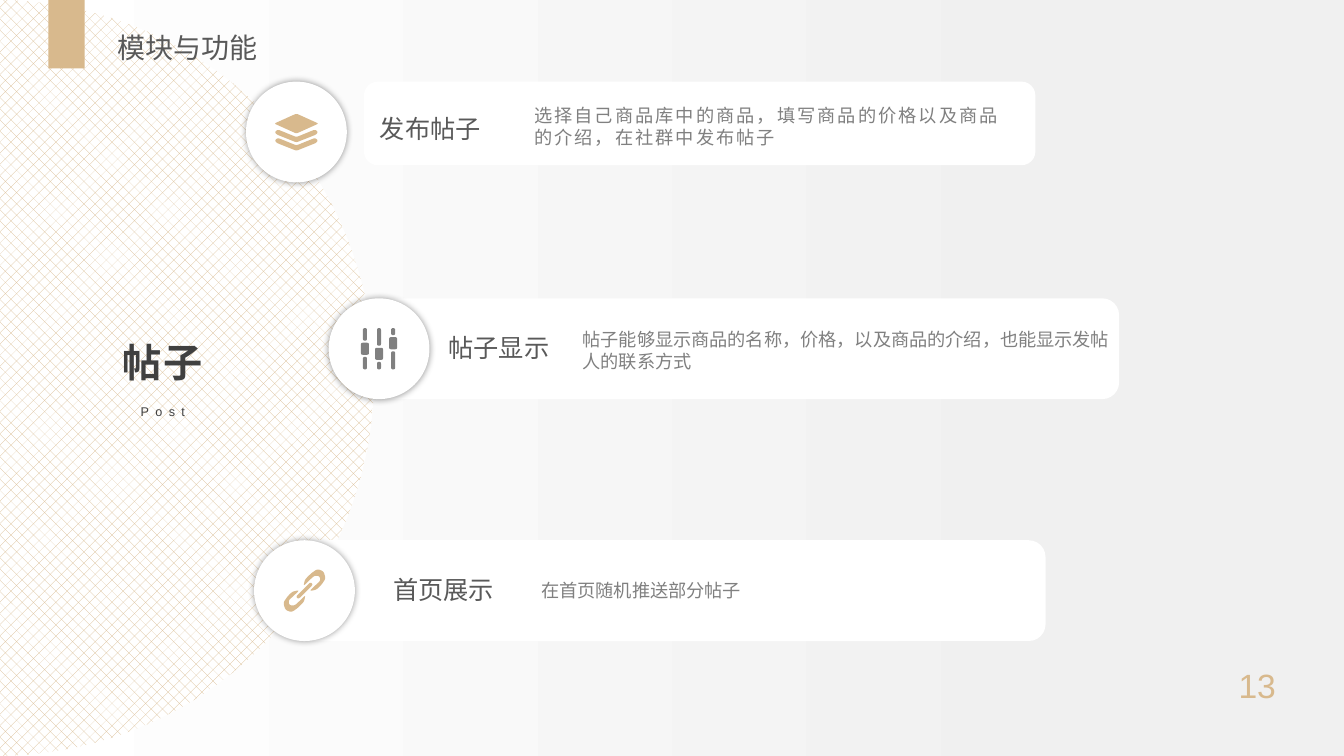
from dataclasses import dataclass
from math import cos, dist, pi, sin

from lxml.etree import SubElement
from pptx import Presentation
from pptx.dml.color import RGBColor
from pptx.enum.dml import MSO_PATTERN
from pptx.enum.shapes import MSO_SHAPE as Preset
from pptx.enum.text import MSO_AUTO_SIZE as AutoSize, PP_ALIGN as Align
from pptx.oxml.ns import qn
from pptx.util import Cm, Pt

Point = tuple[float, float]
Outline = list[Point]
Box = tuple[float, float, float, float]

GOLD, GREY, WHITE = "D8B98D", "808080", "FFFFFF"
DARK, HEADING = "404040", "595959"
DISC = 1.0  # diameter of the icon discs


@dataclass
class Label:
    """A text with its box in inches and its look."""
    text: str
    box: Box
    size: float
    color: str
    spacing: float = 0
    align: Align | None = None
    bold: bool = False
    wrap: bool = True
    line_spacing: float | None = None


@dataclass
class Feature:
    """A white card with an icon disc, a heading and a description."""
    card: Box
    disc_left: float
    icon: list[Outline]
    icon_color: str
    heading: Label
    description: Label


def inch(value: float) -> Cm:
    """Convert inches to a length."""
    return Cm(value * 2.54)


def rgb(color: str) -> RGBColor:
    """Turn a hex string into a colour."""
    return RGBColor.from_string(color)


def paint(shape, color: str) -> None:
    """Give a shape a flat fill without line or shadow."""
    shape.fill.solid()
    shape.fill.fore_color.rgb = rgb(color)
    shape.line.fill.background()
    shape.shadow.inherit = False


def add_preset(page, preset: Preset, box: Box, color: str):
    """Draw a flat preset shape."""
    shape = page.shapes.add_shape(preset, *map(inch, box))
    paint(shape, color)
    return shape


def add_outlines(page, outlines: list[Outline]):
    """Draw closed outlines, given in inches, as one freeform."""
    paths = [[(inch(x), inch(y)) for x, y in outline] for outline in outlines]
    builder = page.shapes.build_freeform(*paths[0][0])
    for number, path in enumerate(paths):
        if number:
            builder.move_to(*path[0])
        builder.add_line_segments(path[1:], close=True)
    return builder.convert_to_shape()


def add_glow(shape) -> None:
    """Put a soft dark shadow around a shape."""
    effects = shape._element.spPr.find(qn("a:effectLst"))
    shadow = SubElement(effects, qn("a:outerShdw"), blurRad=str(Pt(5)), dist="0", dir="0")
    color = SubElement(shadow, qn("a:srgbClr"), val="000000")
    SubElement(color, qn("a:alpha"), val="40000")


def add_label(page, label: Label) -> None:
    """Write a text box."""
    frame = page.shapes.add_textbox(*map(inch, label.box)).text_frame
    frame.word_wrap = label.wrap
    frame.auto_size = AutoSize.SHAPE_TO_FIT_TEXT
    frame.text = label.text
    para = frame.paragraphs[0]
    para.alignment = label.align
    para.line_spacing = label.line_spacing
    span = para.runs[0]
    span.font.name = "Arial"
    span.font.size = Pt(label.size)
    span.font.bold = label.bold
    span.font.color.rgb = rgb(label.color)
    if label.spacing:
        span._r.get_or_add_rPr().set("spc", str(round(label.spacing * 100)))


def rounded(points: Outline, radius: float) -> Outline:
    """Round the corners of a polygon with short quadratic curves."""
    result = []
    for i, corner in enumerate(points):
        ends = []
        for other in (points[i - 1], points[(i + 1) % len(points)]):
            share = min(0.5, radius / dist(corner, other))
            ends.append([c + share * (o - c) for c, o in zip(corner, other)])
        for step in range(5):
            t = step / 4
            result.append(tuple((1 - t) ** 2 * a + 2 * t * (1 - t) * c + t * t * b
                                for a, c, b in zip(ends[0], corner, ends[1])))
    return result


def bar(x: float, top: float, bottom: float, width: float) -> Outline:
    """Return a rounded upright bar centred on x."""
    left, right = x - width / 2, x + width / 2
    return rounded([(left, top), (right, top), (right, bottom), (left, bottom)], 2)


def layers_icon() -> list[Outline]:
    """Return a stack of three sheets, in hundredths of an inch."""
    sheet = [(-22, -8.4), (0, -18.3), (22, -8.4), (0, 1.5)]
    edge = [(-18.5, -2.5), (0, 5), (18.5, -2.5), (21.5, 0),
            (19.5, 2.5), (0, 10.3), (-19.5, 2.5), (-21.5, 0)]
    edges = [[(x, y + drop) for x, y in edge] for drop in (0, 8.3)]
    return [rounded(points, 2) for points in (sheet, *edges)]


def sliders_icon() -> list[Outline]:
    """Return three sliders, in hundredths of an inch."""
    outlines = []
    for x, knob in ((-14, 0), (0, 5), (14, -5.5)):
        outlines += [bar(x, -20.5, knob - 8, 4), bar(x, knob - 6, knob + 6, 8),
                     bar(x, knob + 8, 20.5, 4)]
    return outlines


def link_icon() -> list[Outline]:
    """Return two chain links and their joint, in hundredths of an inch."""
    link = [(12, -1), (5, 0.5), (9, -3.5), (16, -10), (15, -14.5), (10, -15),
            (4, -9.5), (-1, -4.5), (0.5, -11), (7, -17.5), (13, -21.5),
            (19, -19), (21, -12), (17, -6)]
    joint = [(-8.5, 6), (6, -8.5), (8.5, -6), (-6, 8.5)]
    mirrored = [(-x, -y) for x, y in link]
    return [rounded(points, 2.5) for points in (link, joint, mirrored)]


def add_feature(page, feature: Feature) -> None:
    """Draw one feature row."""
    top = feature.card[1]
    add_preset(page, Preset.ROUNDED_RECTANGLE, feature.card, WHITE)
    add_glow(add_preset(page, Preset.OVAL, (feature.disc_left, top, DISC, DISC), WHITE))
    center_x, center_y = feature.disc_left + DISC / 2, top + DISC / 2
    icon = [[(center_x + x / 100, center_y + y / 100) for x, y in outline]
            for outline in feature.icon]
    paint(add_outlines(page, icon), feature.icon_color)
    add_label(page, feature.description)
    add_label(page, feature.heading)


def add_dome(page) -> None:
    """Draw the patterned half disc at the left edge."""
    radius, left, steps = 3.75, -0.04, 120
    angles = [pi * (step / steps - 0.5) for step in range(steps + 1)]
    dome = add_outlines(page, [[(left + radius * cos(a), radius + radius * sin(a))
                                for a in angles]])
    paint(dome, WHITE)
    dome.fill.patterned()
    dome.fill.pattern = MSO_PATTERN.PERCENT_25
    dome.fill.fore_color.rgb = rgb(GOLD)
    dome.fill.back_color.rgb = rgb(WHITE)


def set_background(page) -> None:
    """Shade the page from white to light grey."""
    fill = page.background.fill
    fill.gradient()
    fill.gradient_angle = 0
    for stop, position, color in zip(fill.gradient_stops, (0, 0.8), (WHITE, "F0F0F0")):
        stop.position = position
        stop.color.rgb = rgb(color)


FEATURES = [
    Feature((3.61, 0.81, 6.66, 0.83), 2.44, layers_icon(), GOLD,
            Label("发布帖子", (3.67, 1.08, 1.2, 0.4), 18, HEADING, wrap=False),
            Label("选择自己商品库中的商品，填写商品的价格以及商品的介绍，在社群中发布帖子",
                  (5.2, 0.99, 4.95, 0.75), 13, GREY, spacing=1.5)),
    Feature((3.73, 2.96, 7.37, 1), 3.26, sliders_icon(), GREY,
            Label("帖子显示", (4.35, 3.25, 1.2, 0.4), 18, HEADING, wrap=False),
            Label("帖子能够显示商品的名称，价格，以及商品的介绍，也能显示发帖人的联系方式",
                  (5.68, 3.21, 5.53, 0.48), 13, GREY)),
    Feature((2.98, 5.36, 7.39, 1), 2.52, link_icon(), GOLD,
            Label("首页展示", (3.8, 5.65, 1.2, 0.4), 18, HEADING, wrap=False),
            Label("在首页随机推送部分帖子", (5.27, 5.7, 5, 0.32), 13, GREY)),
]
LABELS = [
    Label("帖子", (-1.39, 3.31, 6.01, 0.57), 28, DARK, 1.5, Align.CENTER, bold=True),
    Label("Post", (-1.07, 3.88, 5.37, 0.33), 9, DARK, 4.5, Align.CENTER, line_spacing=1.5),
    Label("模块与功能", (1.07, 0.25, 2.23, 0.44), 20, HEADING, align=Align.JUSTIFY),
    Label("13", (12.1, 6.55, 0.74, 0.5), 24, GOLD, align=Align.CENTER),
]

deck = Presentation()
deck.slide_width, deck.slide_height = inch(13.33), inch(7.5)
page = deck.slides.add_slide(deck.slide_layouts[6])
set_background(page)
add_dome(page)
for feature in FEATURES:
    add_feature(page, feature)
add_preset(page, Preset.RECTANGLE, (0.48, 0, 0.36, 0.68), GOLD)
for label in LABELS:
    add_label(page, label)
deck.save("out.pptx")
